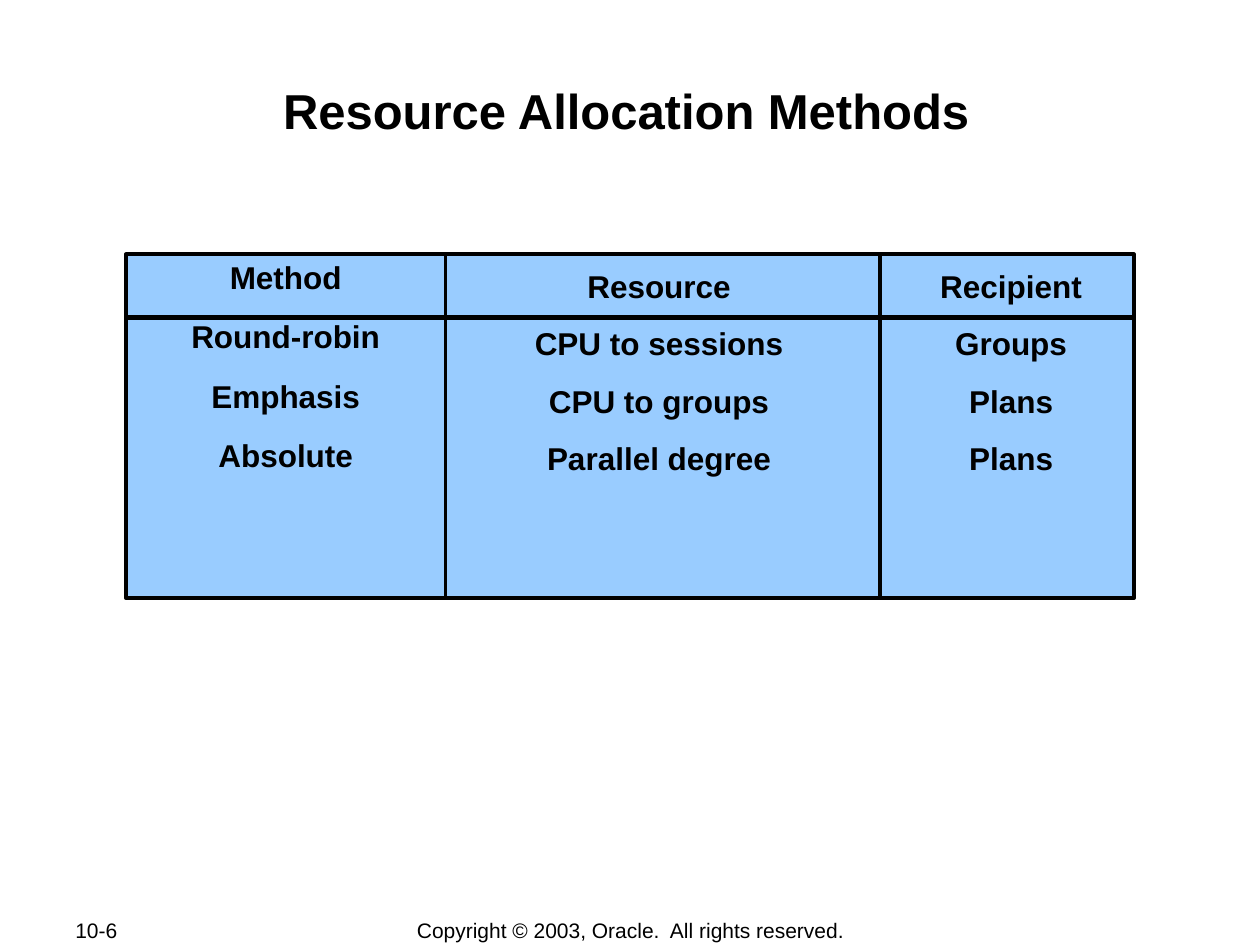
from dataclasses import dataclass
from lxml.etree import SubElement
from pptx import Presentation
from pptx.dml.color import RGBColor
from pptx.enum.shapes import MSO_CONNECTOR, MSO_SHAPE
from pptx.enum.text import MSO_ANCHOR, MSO_AUTO_SIZE, PP_ALIGN
from pptx.oxml.ns import qn
from pptx.util import Pt


@dataclass(frozen=True)
class Theme:
    font: str = "Arial"
    ink: RGBColor = RGBColor(0x00, 0x00, 0x00)
    panel: RGBColor = RGBColor(0x99, 0xCC, 0xFF)
    title: float = 28
    body: float = 18
    footer: float = 12


theme = Theme()


def assign(obj, values):
    for name, value in values.items():
        setattr(obj, name, value)


def write(tf, lines, size, bold, frame, para):
    assign(tf, frame)
    for i, line in enumerate(lines):
        p = tf.paragraphs[0] if i == 0 else tf.add_paragraph()
        r = p.add_run()
        r.text = line
        assign(p, {"alignment": PP_ALIGN.CENTER, **para})
        if i == 0:
            p.space_before = Pt(0)
        assign(r.font, {"name": theme.font, "size": Pt(size), "bold": bold})
        r.font.color.rgb = theme.ink


prs = Presentation()
assign(prs, {"slide_width": Pt(720), "slide_height": Pt(540)})
s = prs.slides.add_slide(prs.slide_layouts[5])

footers = [
    ("10-6", 36, 76.3, PP_ALIGN.LEFT),
    ("Copyright © 2003, Oracle.  All rights reserved.", 198.7, 323.3, PP_ALIGN.CENTER),
]
for text, left, width, align in footers:
    sp = s.shapes.add_textbox(Pt(left), Pt(524.2), Pt(width), Pt(14.8))
    write(sp.text_frame, [text], theme.footer, False,
          {"word_wrap": True, "vertical_anchor": MSO_ANCHOR.MIDDLE}, {"alignment": align})

panel_top, panel_height = 145.4, 196.4
edges = [72, 254.6, 502.8, 648]
columns = [
    (["Method", "Round-robin", "Emphasis", "Absolute"], None),
    (["Resource", "CPU to sessions", "CPU to groups", "Parallel degree"], (298.1, 157)),
    (["Recipient", "Groups", "Plans", "Plans"], (529.9, 95.8)),
]
for (lines, label), left, right in zip(columns, edges, edges[1:]):
    sp = s.shapes.add_shape(MSO_SHAPE.RECTANGLE, Pt(left), Pt(panel_top),
                            Pt(right - left), Pt(panel_height))
    sp.shadow.inherit = False
    sp.fill.solid()
    sp.fill.fore_color.rgb = theme.panel
    sp.line.color.rgb = theme.ink
    sp.line.width = Pt(2.25)
    frame = {"word_wrap": True, "vertical_anchor": MSO_ANCHOR.TOP}
    para = {"line_spacing": 0.95, "space_before": Pt(13.5)}
    if label:
        label_left, label_width = label
        sp = s.shapes.add_textbox(Pt(label_left), Pt(149), Pt(label_width), Pt(127.4))
        frame = {"word_wrap": False, "auto_size": MSO_AUTO_SIZE.SHAPE_TO_FIT_TEXT}
        para = {"space_before": Pt(11.2)}
    write(sp.text_frame, lines, theme.body, True, frame, para)

rule = s.shapes.add_connector(MSO_CONNECTOR.STRAIGHT, Pt(edges[0]), Pt(181.4),
                              Pt(edges[-1]), Pt(181.4))
rule.line.color.rgb = theme.ink
rule.line.width = Pt(3.25)
SubElement(rule._element.spPr, qn("a:effectLst"))

title = s.shapes.title
assign(title, {"left": Pt(69.8), "top": Pt(41.8), "width": Pt(576), "height": Pt(69)})
write(title.text_frame, ["Resource Allocation Methods"], theme.title, True,
      {"word_wrap": True, "auto_size": MSO_AUTO_SIZE.NONE,
       "vertical_anchor": MSO_ANCHOR.TOP, "margin_left": Pt(0.7),
       "margin_right": Pt(0.7), "margin_top": Pt(4), "margin_bottom": Pt(0.7)}, {})

prs.save("out.pptx")
